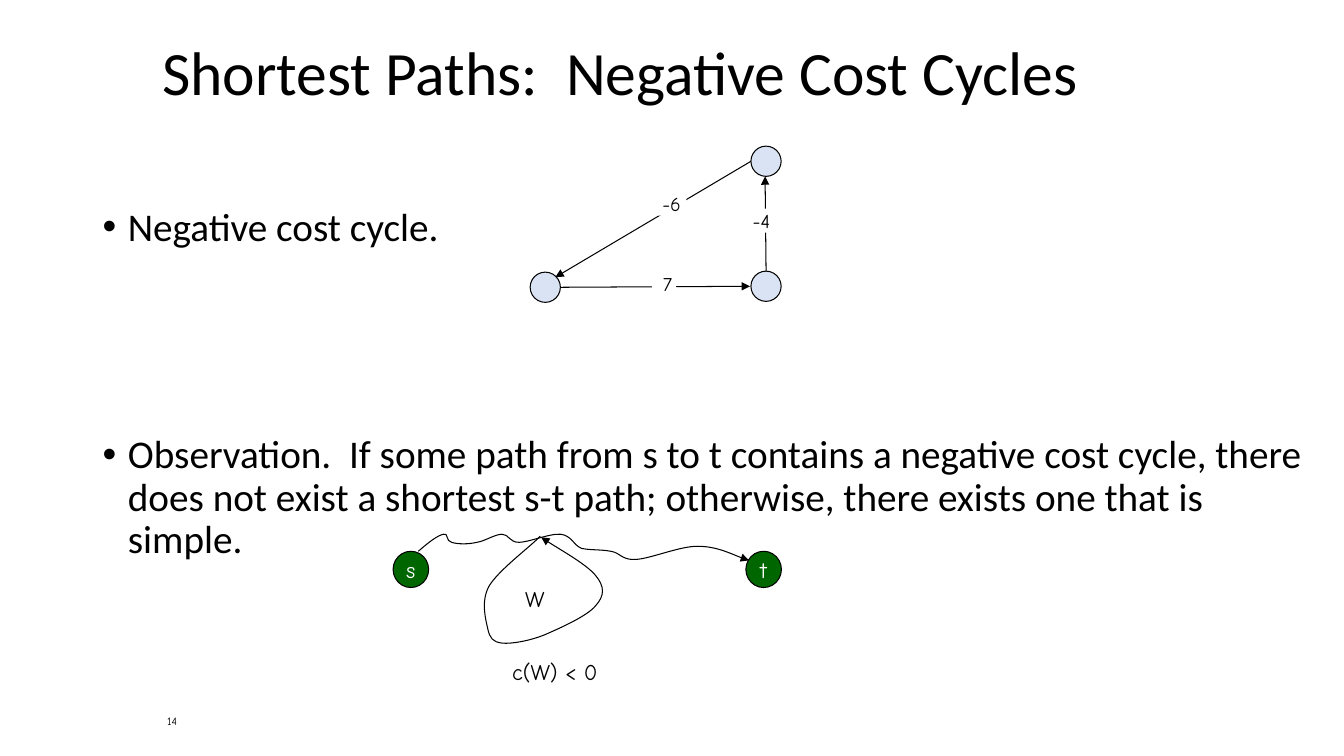
from dataclasses import dataclass

import pptx
import pptx.dml.color
import pptx.enum.shapes
import pptx.enum.text
import pptx.oxml
import pptx.oxml.ns
import pptx.util

Pt = pptx.util.Pt
SHAPE = pptx.enum.shapes.MSO_SHAPE
ALIGN = pptx.enum.text.PP_ALIGN
ANCHOR = pptx.enum.text.MSO_ANCHOR
HAND_FONT, MAIN_FONT = "Comic Neue", "Calibri"
BLACK, WHITE, GREEN, PALE_BLUE = "000000", "FFFFFF", "006600", "DAE3F3"


@dataclass
class Node:
    x: float
    y: float
    w: float
    h: float
    fill: str
    label: str = ""


@dataclass
class Edge:
    x1: float
    y1: float
    x2: float
    y2: float


@dataclass
class Label:
    text: str
    x: float
    y: float
    w: float
    h: float
    size: float = 16
    align: ALIGN = ALIGN.CENTER


NODES = [
    Node(280.8, 393.8, 25.4, 25.9, GREEN, "s"),
    Node(532.8, 393.8, 25.4, 25.9, GREEN, "t"),
    Node(536.4, 104.4, 21.6, 21.6, PALE_BLUE),
    Node(536.4, 193.7, 21.6, 21.6, PALE_BLUE),
    Node(378.7, 194.4, 21.6, 21.6, PALE_BLUE),
]
EDGES = [
    Edge(547.2, 193.7, 546.5, 126),
    Edge(400.3, 205.2, 535.7, 204.5),
    Edge(536.4, 115.2, 396.7, 198),
]
COSTS = [
    Label(" -6", 464.4, 136.8, 25.9, 17.3, 14),
    Label(" 7", 465.8, 194.4, 17.3, 17.3, 14),
    Label(" -4", 527.8, 149, 27.4, 17.3, 14),
]
CAPTIONS = [
    Label("14", 112.3, 500.4, 169.9, 28.8, 8, ALIGN.LEFT),
    Label("W", 366.5, 414, 31, 26.6),
    Label("c(W) < 0", 346.3, 466.6, 100.1, 26.6),
]

# Start point, then two control points and an end point per Bézier segment
PATH_S_TO_T = [
    (298.8, 393.8),
    (305.3, 388.1), (312.5, 382.3), (316.8, 381.6),
    (320.4, 380.2), (318.2, 386.6), (322.6, 387.4),
    (326.9, 388.8), (334.8, 388.8), (340.6, 387.4),
    (346.3, 386.6), (353.5, 381.6), (358.6, 381.6),
    (363.6, 381.6), (363.6, 387.4), (370.8, 387.4),
    (377.3, 387.4), (393.1, 380.9), (400.3, 381.6),
    (408.2, 382.3), (409.7, 389.5), (415.4, 391.7),
    (421.9, 393.1), (429.8, 392.4), (436.3, 393.8),
    (442.8, 394.6), (444.2, 400.3), (454.3, 399.6),
    (465.1, 398.9), (485.3, 390.2), (498.2, 390.2),
    (511.9, 390.2), (527.8, 398.2), (535, 400.3),
]
CYCLE_W = [
    (385.9, 383),
    (380.2, 389.5), (355.7, 407.5), (349.2, 419),
    (343.4, 429.8), (347, 442.8), (348.5, 449.3),
    (349.9, 455.8), (352.1, 458.6), (358.6, 459.4),
    (365, 460.1), (378, 457.9), (388.8, 453.6),
    (400.3, 448.6), (419.8, 439.9), (425.5, 432.7),
    (432, 425.5), (432, 419), (425.5, 411.1),
    (419, 403.2), (394.6, 389.5), (386.6, 383.8),
]


def rgb(value: str) -> pptx.dml.color.RGBColor:
    return pptx.dml.color.RGBColor.from_string(value)


def sub(parent, tag: str, **attrs: str):
    """Append a DrawingML child element."""
    el = pptx.oxml.parse_xml(f"<{tag} {pptx.oxml.ns.nsdecls('a')}/>")
    for name, value in attrs.items():
        el.set(name, value)
    parent.append(el)
    return el


def add_run(p, text: str, size: float, font: str, color: str = BLACK) -> None:
    r = p.add_run()
    r.text = text
    r.font.size, r.font.name = Pt(size), font
    r.font.color.rgb = rgb(color)


def place(sp, x: float, y: float, w: float, h: float) -> None:
    sp.left, sp.top, sp.width, sp.height = Pt(x), Pt(y), Pt(w), Pt(h)


def outline(sp, arrow: bool = False) -> None:
    sp.line.color.rgb, sp.line.width = rgb(BLACK), Pt(0.75)
    if arrow:
        sub(sp.line._get_or_add_ln(), "a:tailEnd", type="triangle")


def add_node(s, node: Node) -> None:
    sp = s.shapes.add_shape(SHAPE.OVAL, Pt(node.x), Pt(node.y), Pt(node.w), Pt(node.h))
    sp.shadow.inherit = False
    sp.fill.solid()
    sp.fill.fore_color.rgb = rgb(node.fill)
    outline(sp)
    if node.label:
        tf = sp.text_frame
        tf.word_wrap, tf.vertical_anchor = False, ANCHOR.MIDDLE
        tf.paragraphs[0].alignment = ALIGN.CENTER
        add_run(tf.paragraphs[0], node.label, 16, HAND_FONT, WHITE)


def add_edge(s, edge: Edge) -> None:
    sp = s.shapes.add_connector(pptx.enum.shapes.MSO_CONNECTOR.STRAIGHT,
                                Pt(edge.x1), Pt(edge.y1), Pt(edge.x2), Pt(edge.y2))
    outline(sp, arrow=True)
    sub(sp._element.spPr, "a:effectLst")


def add_curve(s, points: list[tuple[float, float]]) -> None:
    """Draw an arrow along cubic Bézier segments."""
    start, *rest = [(Pt(x), Pt(y)) for x, y in points]
    fb = s.shapes.build_freeform(*start)
    fb.add_line_segments(rest, close=False)
    sp = fb.convert_to_shape()
    path = sp._element.find(".//" + pptx.oxml.ns.qn("a:path"))
    lines = path.findall(pptx.oxml.ns.qn("a:lnTo"))
    for i in range(0, len(lines), 3):
        bezier = sub(path, "a:cubicBezTo")
        for line in lines[i:i + 3]:
            bezier.append(line[0])
            path.remove(line)
    sp.shadow.inherit = False
    sp.fill.background()
    outline(sp, arrow=True)


def add_label(s, label: Label) -> None:
    sp = s.shapes.add_textbox(Pt(label.x), Pt(label.y), Pt(label.w), Pt(label.h))
    tf = sp.text_frame
    tf.word_wrap, tf.vertical_anchor = True, ANCHOR.MIDDLE
    tf.paragraphs[0].alignment = label.align
    add_run(tf.paragraphs[0], label.text, label.size, HAND_FONT)


def add_cost(s, cost: Label) -> None:
    """Put a cost on a white patch that interrupts its edge."""
    sp = s.shapes.add_shape(SHAPE.RECTANGLE, Pt(cost.x), Pt(cost.y), Pt(cost.w), Pt(cost.h))
    sp.shadow.inherit = False
    sp.fill.solid()
    sp.fill.fore_color.rgb = rgb(WHITE)
    sp.line.fill.background()
    tf = sp.text_frame
    tf.margin_left = tf.margin_right = tf.margin_top = tf.margin_bottom = Pt(0)
    tf.vertical_anchor = ANCHOR.TOP
    tf.paragraphs[0].alignment = cost.align
    add_run(tf.paragraphs[0], cost.text, cost.size, HAND_FONT)


def add_bullet(p, text: str, space_before: float) -> None:
    p.line_spacing, p.space_before = 0.9, Pt(space_before)
    pPr = p._p.get_or_add_pPr()
    pPr.set("marL", str(Pt(18)))
    pPr.set("indent", str(-Pt(18)))
    sub(pPr, "a:buFont", typeface="Arial")
    sub(pPr, "a:buChar", char="•")
    add_run(p, text, 28, MAIN_FONT)


def fill_placeholders(s) -> None:
    title, body = s.shapes.title, s.placeholders[1]
    place(title, 108.7, 20.9, 828, 65.5)
    place(body, 66.2, 144.7, 870.5, 341.3)
    for sp in (title, body):
        sp.text_frame.auto_size = pptx.enum.text.MSO_AUTO_SIZE.NONE
    title.text_frame.vertical_anchor = ANCHOR.MIDDLE
    p = title.text_frame.paragraphs[0]
    p.alignment, p.line_spacing = ALIGN.LEFT, 0.9
    add_run(p, "Shortest Paths:  Negative Cost Cycles", 44, MAIN_FONT)
    tf = body.text_frame
    add_bullet(tf.paragraphs[0], "Negative cost cycle.", 0)
    add_bullet(tf.add_paragraph(), "Observation.  If some path from s to t contains a negative cost cycle, "
               "there does not exist a shortest s-t path; otherwise, there exists one that is simple.", 132)


def main() -> None:
    prs = pptx.Presentation()
    prs.slide_width, prs.slide_height = Pt(960), Pt(540)
    s = prs.slides.add_slide(prs.slide_layouts[1])
    fill_placeholders(s)
    for draw, items in ((add_node, NODES), (add_curve, (PATH_S_TO_T, CYCLE_W)),
                        (add_label, CAPTIONS), (add_edge, EDGES), (add_cost, COSTS)):
        for item in items:
            draw(s, item)
    prs.save("out.pptx")


if __name__ == "__main__":
    main()
